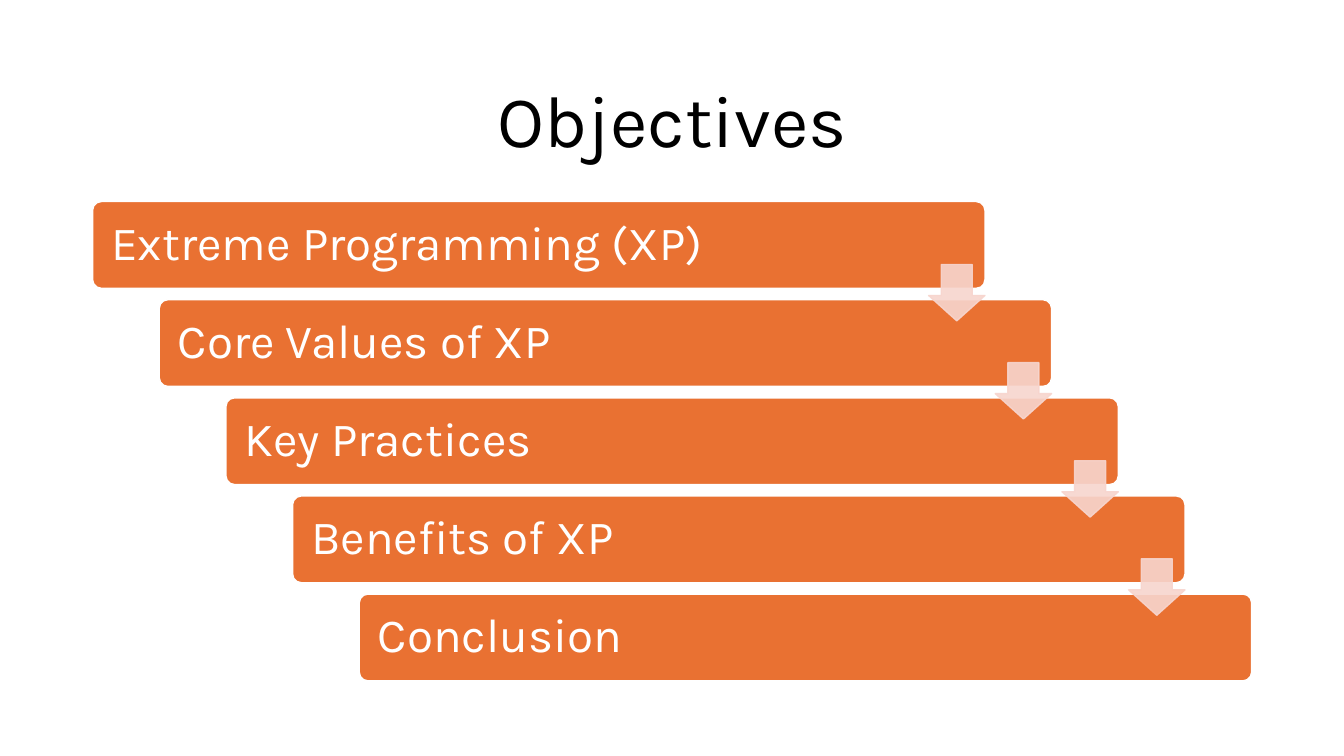
from lxml import etree
from pptx import Presentation, util as u
from pptx.dml.color import RGBColor
from pptx.enum import shapes, text
from pptx.oxml.ns import qn

# Content
TITLE = "Objectives"
STEPS = [
    "Extreme Programming (XP)",
    "Core Values of XP",
    "Key Practices",
    "Benefits of XP",
    "Conclusion",
]

# Style
FONT = "Karla"
COLORS = {"title": "000000", "bar": "E97132", "white": "FFFFFF", "arrow": "F7D5CE"}
ARROW_OPACITY = 90

# Layout in centimetres
BAR_LEFT, BAR_TOP, BAR_WIDTH, BAR_HEIGHT = 3.5, 7.62, 33.73, 3.28
STEP_X, STEP_Y = 2.52, 3.71
ARROW_LEFT, ARROW_TOP, ARROW_SIZE = 35.1, 10, 2.13
BAR_INSET = 0.61


def color(name):
    return RGBColor.from_string(COLORS[name])


def write_text(shape, content, size, color_name, alignment):
    frame = shape.text_frame
    frame.text = content
    frame.word_wrap = True
    frame.auto_size = text.MSO_AUTO_SIZE.NONE
    frame.vertical_anchor = text.MSO_ANCHOR.MIDDLE
    paragraph = frame.paragraphs[0]
    paragraph.alignment = alignment
    paragraph.line_spacing = 0.9
    font = paragraph.runs[0].font
    font.name, font.size = FONT, u.Pt(size)
    font.color.rgb = color(color_name)


def add_shape(slide, kind, box, adjustments, fill, line):
    shape = slide.shapes.add_shape(kind, *(u.Cm(length) for length in box))
    shape.shadow.inherit = False
    for index, value in enumerate(adjustments):
        shape.adjustments[index] = value
    shape.fill.solid()
    shape.fill.fore_color.rgb = color(fill)
    shape.line.color.rgb = color(line)
    shape.line.width = u.Pt(1.5)
    return shape


def set_opacity(shape, percent):
    for element in shape.element.spPr.iter(qn("a:srgbClr")):
        etree.SubElement(element, qn("a:alpha"), val=str(percent * 1000))


def main():
    presentation = Presentation()
    presentation.slide_width, presentation.slide_height = u.Cm(50.8), u.Cm(28.58)
    slide = presentation.slides.add_slide(presentation.slide_layouts[5])

    # Title
    title = slide.shapes.title
    title.left, title.top = u.Cm(3.5), u.Cm(2.31)
    title.width, title.height = u.Cm(43.82), u.Cm(4.72)
    write_text(title, TITLE, 78, "title", text.PP_ALIGN.CENTER)

    # Staircase of bars
    for index, step in enumerate(STEPS):
        box = (BAR_LEFT + index * STEP_X, BAR_TOP + index * STEP_Y, BAR_WIDTH, BAR_HEIGHT)
        bar = add_shape(slide, shapes.MSO_SHAPE.ROUNDED_RECTANGLE, box, [0.1], "bar", "white")
        write_text(bar, step, 51, "white", text.PP_ALIGN.LEFT)
        bar.text_frame.margin_left = bar.text_frame.margin_right = u.Cm(BAR_INSET)

    # Arrows from each bar to the next
    for index in range(len(STEPS) - 1):
        box = (ARROW_LEFT + index * STEP_X, ARROW_TOP + index * STEP_Y, ARROW_SIZE, ARROW_SIZE)
        arrow = add_shape(slide, shapes.MSO_SHAPE.DOWN_ARROW, box, [0.55, 0.45], "arrow", "arrow")
        set_opacity(arrow, ARROW_OPACITY)

    presentation.save("out.pptx")


if __name__ == "__main__":
    main()
